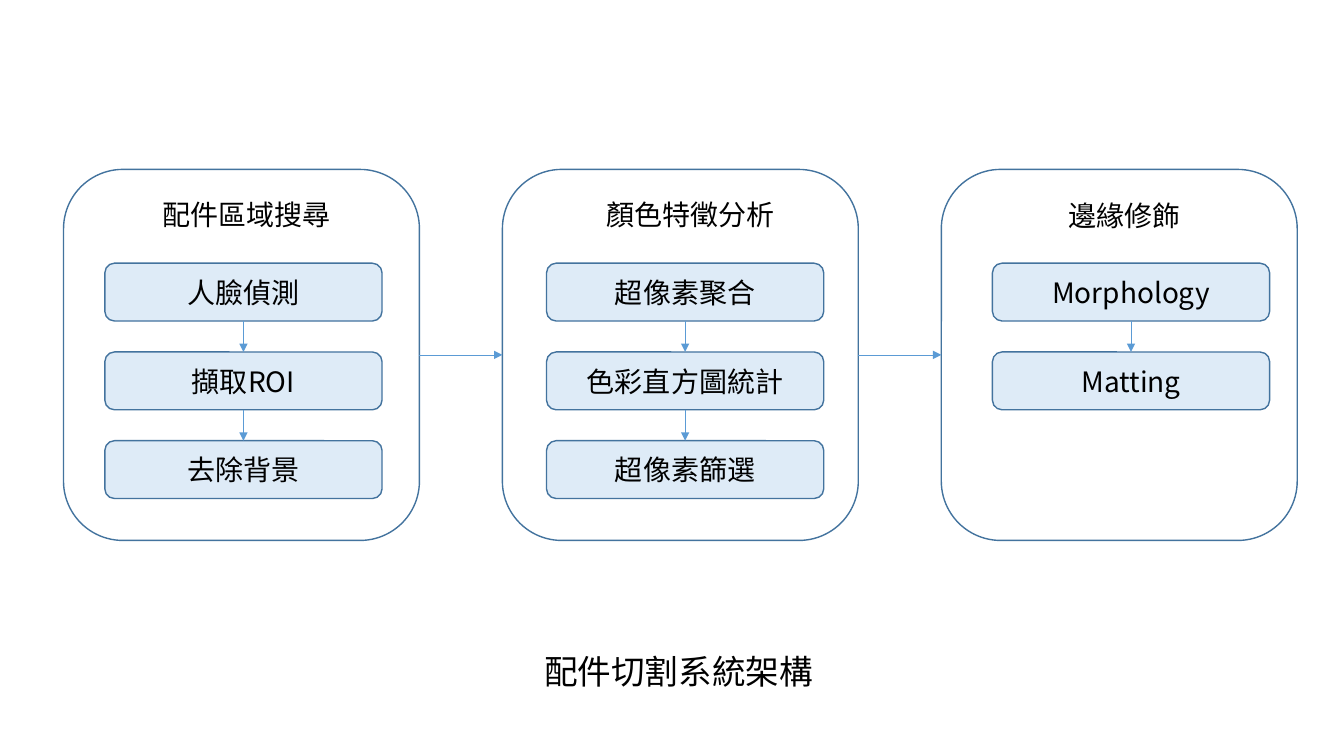
from pptx import Presentation
from pptx.dml.color import RGBColor
from pptx.enum.shapes import MSO_CONNECTOR as Connector, MSO_SHAPE as Shape
from pptx.enum.text import MSO_ANCHOR as Anchor, MSO_AUTO_SIZE as AutoSize, PP_ALIGN as Align
from pptx.oxml.ns import qn
from pptx.util import Pt
from lxml.etree import SubElement

FONT = "Noto Sans CJK SC"
COLORS = {"text": "000000", "outline": "43739E", "step": "DEEBF7", "arrow": "5B9BD5"}
CAPTION = "配件切割系統架構"
# Offsets are measured from the left edge of the stage panel.
STAGES = [
    {"title": "配件區域搜尋", "title_offset": 63.4, "title_top": 137.5, "title_width": 135.4,
     "steps": ["人臉偵測", "擷取ROI", "去除背景"], "steps_offset": 29.5},
    {"title": "顏色特徵分析", "title_offset": 66.9, "title_top": 137.5, "title_width": 135.4,
     "steps": ["超像素聚合", "色彩直方圖統計", "超像素篩選"], "steps_offset": 31.5},
    {"title": "邊緣修飾", "title_offset": 83.4, "title_top": 138.2, "title_width": 95,
     "steps": ["Morphology", "Matting"], "steps_offset": 36.5},
]

PANEL_LEFT, PANEL_TOP, PANEL_WIDTH, PANEL_HEIGHT = 45.4, 121, 254.2, 265
PANEL_PITCH = 313.5
STEP_TOP, STEP_WIDTH, STEP_HEIGHT, STEP_PITCH = 188, 198, 41.3, 63.4
TOP, LEFT, BOTTOM, RIGHT = range(4)


def color(name):
    return RGBColor.from_string(COLORS[name])


def write(frame, text, size=20, align=Align.LEFT, anchor=Anchor.TOP, wrap=True):
    frame.word_wrap = wrap
    frame.vertical_anchor = anchor
    paragraph = frame.paragraphs[0]
    paragraph.alignment = align
    run = paragraph.add_run()
    run.text = text
    run.font.name = FONT
    run.font.size = Pt(size)
    run.font.color.rgb = color("text")
    SubElement(run.font._element, qn("a:ea"), typeface=FONT)


def add_label(shapes, text, left, top, width, height, size=20):
    label = shapes.add_textbox(Pt(left), Pt(top), Pt(width), Pt(height))
    write(label.text_frame, text, size=size, wrap=False)
    label.text_frame.auto_size = AutoSize.SHAPE_TO_FIT_TEXT


def add_box(shapes, left, top, width, height, fill=None):
    box = shapes.add_shape(Shape.ROUNDED_RECTANGLE, Pt(left), Pt(top), Pt(width), Pt(height))
    box.shadow.inherit = False
    if fill:
        box.fill.solid()
        box.fill.fore_color.rgb = color(fill)
    else:
        box.fill.background()
    box.line.color.rgb = color("outline")
    box.line.width = Pt(1)
    return box


def add_arrow(shapes, source, source_side, target, target_side):
    arrow = shapes.add_connector(Connector.STRAIGHT, 0, 0, 0, 0)
    arrow.begin_connect(source, source_side)
    arrow.end_connect(target, target_side)
    arrow.line.color.rgb = color("arrow")
    arrow.line.width = Pt(0.5)
    SubElement(arrow.line._get_or_add_ln(), qn("a:tailEnd"), type="triangle")
    SubElement(arrow._element.spPr, qn("a:effectLst"))


def add_stage(shapes, stage, left):
    panel = add_box(shapes, left, PANEL_TOP, PANEL_WIDTH, PANEL_HEIGHT)
    add_label(shapes, stage["title"], left + stage["title_offset"], stage["title_top"],
              stage["title_width"], 31.5)
    steps = []
    for row, name in enumerate(stage["steps"]):
        step = add_box(shapes, left + stage["steps_offset"], STEP_TOP + row * STEP_PITCH,
                       STEP_WIDTH, STEP_HEIGHT, fill="step")
        write(step.text_frame, name, align=Align.CENTER, anchor=Anchor.MIDDLE)
        steps.append(step)
    for upper, lower in zip(steps, steps[1:]):
        add_arrow(shapes, upper, BOTTOM, lower, TOP)
    return panel


def main():
    deck = Presentation()
    deck.slide_width, deck.slide_height = Pt(960), Pt(540)
    shapes = deck.slides.add_slide(deck.slide_layouts[6]).shapes
    panels = [add_stage(shapes, stage, PANEL_LEFT + column * PANEL_PITCH)
              for column, stage in enumerate(STAGES)]
    for before, after in zip(panels, panels[1:]):
        add_arrow(shapes, before, RIGHT, after, LEFT)
    add_label(shapes, CAPTION, 381.6, 461.5, 208, 36, size=24)
    deck.save("out.pptx")


if __name__ == "__main__":
    main()
